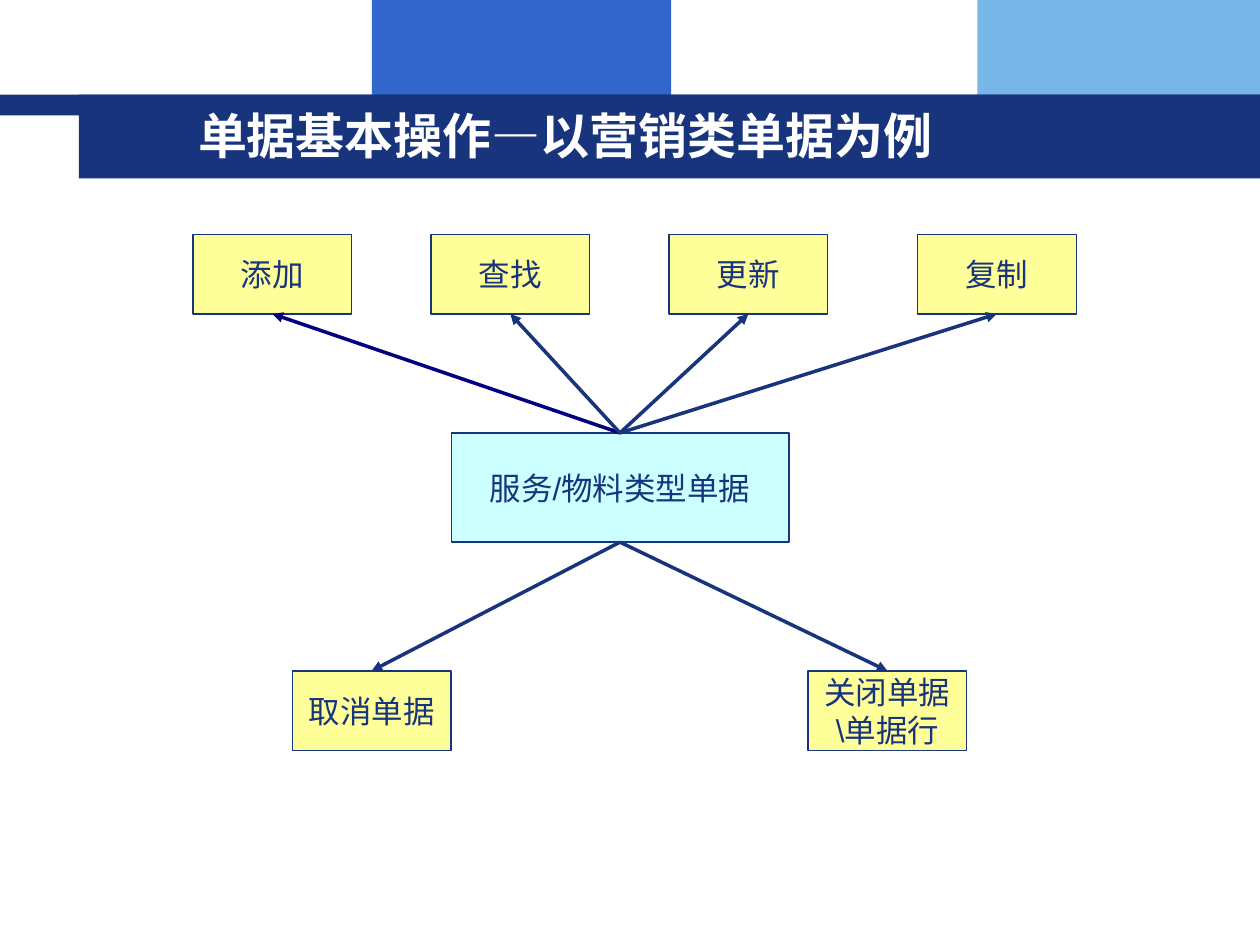
from lxml import etree
from pptx import Presentation
from pptx.dml.color import RGBColor
from pptx.enum.shapes import MSO_CONNECTOR, MSO_SHAPE
from pptx.enum.text import MSO_ANCHOR, MSO_AUTO_SIZE, PP_ALIGN
from pptx.oxml.ns import qn
from pptx.util import Pt

NAVY = RGBColor(0x17, 0x34, 0x7D)
DEEP_BLUE = RGBColor(0x00, 0x00, 0x80)
BLUE = RGBColor(0x33, 0x66, 0xCC)
SKY = RGBColor(0x77, 0xB7, 0xE7)
CYAN = RGBColor(0xCC, 0xFF, 0xFF)
YELLOW = RGBColor(0xFF, 0xFF, 0x99)
WHITE = RGBColor(0xFF, 0xFF, 0xFF)

RECTANGLE = MSO_SHAPE.RECTANGLE
STRAIGHT = MSO_CONNECTOR.STRAIGHT
MIDDLE = MSO_ANCHOR.MIDDLE
NO_AUTOFIT = MSO_AUTO_SIZE.NONE
LEFT, CENTER = PP_ALIGN.LEFT, PP_ALIGN.CENTER
TOP_SITE, BOTTOM_SITE = 0, 2

BODY_FONT = "Arial"
TITLE_FONT = "DejaVu Sans"
DASH_FONT = "Noto Sans CJK TC"
OPERATION_WIDTH, OPERATION_HEIGHT = 90.7, 45.4


def add_block(slide, left, top, width, height, color):
    """Add a plain filled rectangle without outline."""
    block = slide.shapes.add_shape(RECTANGLE, Pt(left), Pt(top), Pt(width), Pt(height))
    block.shadow.inherit = False
    block.fill.solid()
    block.fill.fore_color.rgb = color
    block.line.fill.background()
    return block


def add_label_box(slide, label, left, top, width, height, color, wrap=False):
    """Add an outlined rectangle with a centred label."""
    box = add_block(slide, left, top, width, height, color)
    box.line.color.rgb = NAVY
    box.line.width = Pt(0.75)
    frame = box.text_frame
    frame.text = label
    frame.word_wrap = wrap
    frame.vertical_anchor = MIDDLE
    paragraph = frame.paragraphs[0]
    paragraph.alignment = CENTER
    font = paragraph.runs[0].font
    font.size = Pt(18)
    font.color.rgb = NAVY
    font.name = BODY_FONT
    return box


def add_arrow(slide, source, source_site, target, target_site, color):
    """Join two boxes with a straight arrow that points at the target."""
    arrow = slide.shapes.add_connector(STRAIGHT, 0, 0, 0, 0)
    arrow.begin_connect(source, source_site)
    arrow.end_connect(target, target_site)
    arrow.line.color.rgb = color
    arrow.line.width = Pt(2)
    etree.SubElement(arrow.line._get_or_add_ln(), qn("a:tailEnd"), type="triangle")
    etree.SubElement(arrow._element.spPr, qn("a:effectLst"))


def add_banner(slide, left, top, width):
    """Draw the coloured blocks and bars of the page head."""
    add_block(slide, left + 212.5, top, 171, 66, BLUE)
    add_block(slide, left + 558.5, top, width - 558.5, 66, SKY)
    add_block(slide, left, top + 54, width, 12, NAVY)
    add_block(slide, left + 45, top + 54, width - 45, 48, NAVY)


def fill_title(slide, left, top, width, height):
    """Place the title placeholder and write the title in it."""
    title = slide.shapes.title
    title.left, title.top = Pt(left), Pt(top)
    title.width, title.height = Pt(width), Pt(height)
    frame = title.text_frame
    frame.auto_size = NO_AUTOFIT
    frame.vertical_anchor = MIDDLE
    paragraph = frame.paragraphs[0]
    paragraph.alignment = LEFT
    for wording, typeface in (
        ("单据基本操作", TITLE_FONT),
        ("—", DASH_FONT),
        ("以营销类单据为例", TITLE_FONT),
    ):
        run = paragraph.add_run()
        run.text = wording
        run.font.size = Pt(28)
        run.font.bold = True
        run.font.color.rgb = WHITE
        run.font.name = typeface
        etree.SubElement(run.font._element, qn("a:ea"), typeface=typeface)


def add_operations_diagram(slide, left, top):
    """Draw the document box with arrows to the operations above and below."""
    document = add_label_box(
        slide, "服务/物料类型单据", left + 147.5, top + 113.4, 193, 62.4, CYAN
    )
    upper_operations = (
        ("添加", 0, DEEP_BLUE),
        ("查找", 136, NAVY),
        ("更新", 272, NAVY),
        ("复制", 414, NAVY),
    )
    for label, offset, color in upper_operations:
        operation = add_label_box(
            slide, label, left + offset, top, OPERATION_WIDTH, OPERATION_HEIGHT, YELLOW
        )
        add_arrow(slide, document, TOP_SITE, operation, BOTTOM_SITE, color)
    for label, offset in (("取消单据", 56.7), ("关闭单据\\单据行", 351.5)):
        operation = add_label_box(
            slide, label, left + offset, top + 249.4,
            OPERATION_WIDTH, OPERATION_HEIGHT, YELLOW, wrap=True,
        )
        add_arrow(slide, document, BOTTOM_SITE, operation, TOP_SITE, NAVY)


def main():
    """Build the slide and save it."""
    presentation = Presentation()
    presentation.slide_width, presentation.slide_height = Pt(720), Pt(540)
    slide = presentation.slides.add_slide(presentation.slide_layouts[5])
    add_banner(slide, 0, 0, 720)
    fill_title(slide, 106, 54.7, 614, 44.6)
    title_element = slide.shapes.title._element
    title_element.getparent().append(title_element)
    add_operations_diagram(slide, 110.3, 134)
    presentation.save("out.pptx")


if __name__ == "__main__":
    main()
